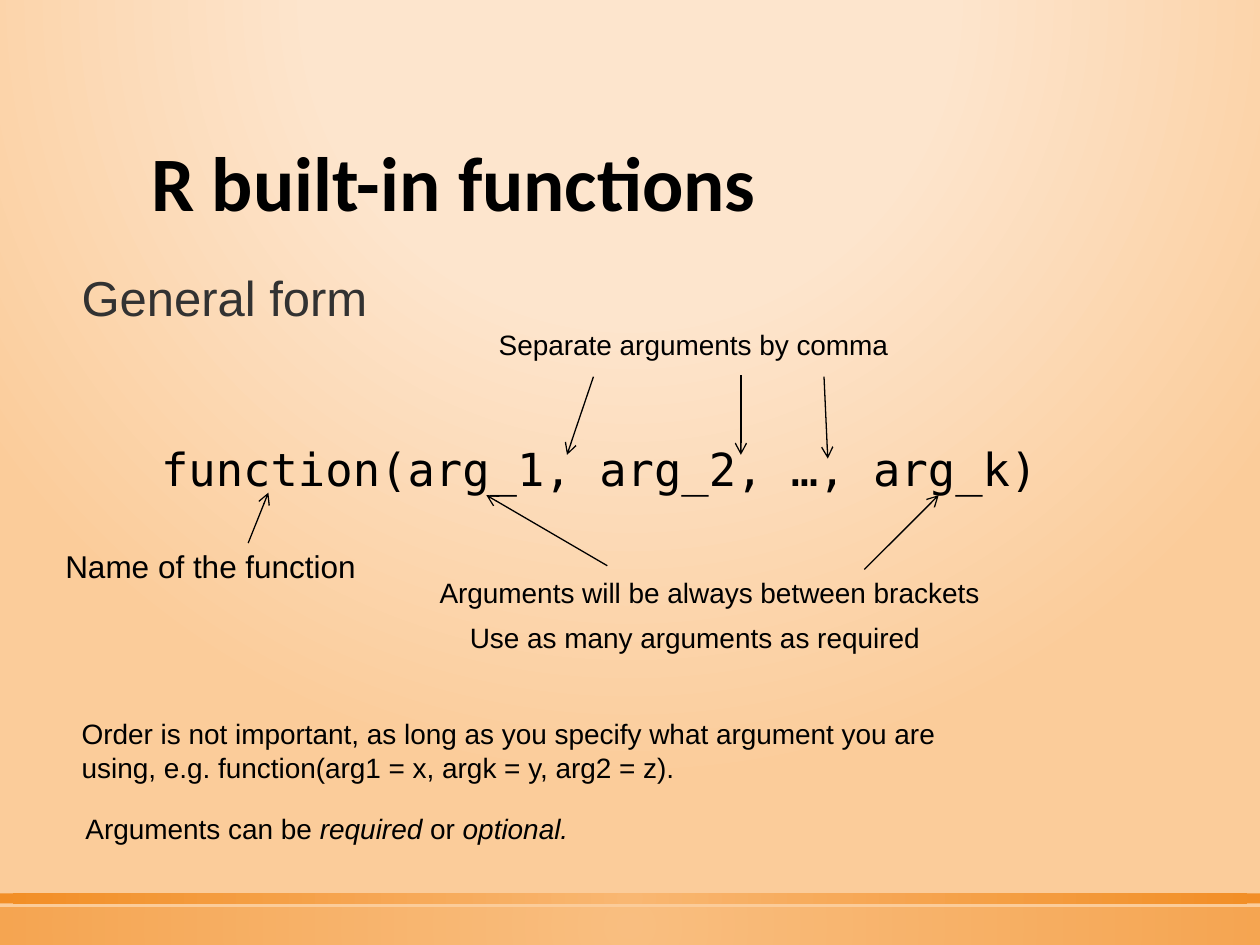
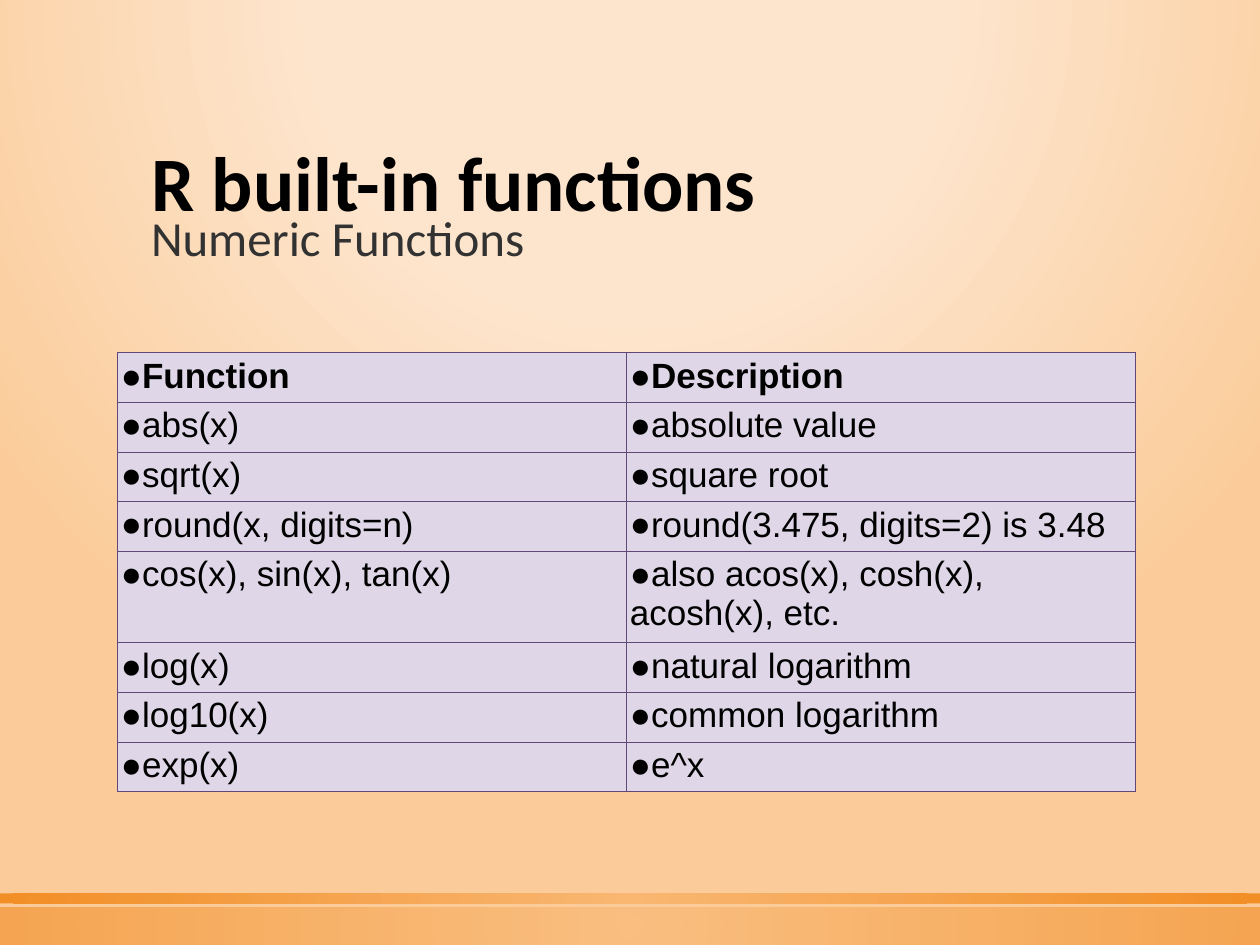
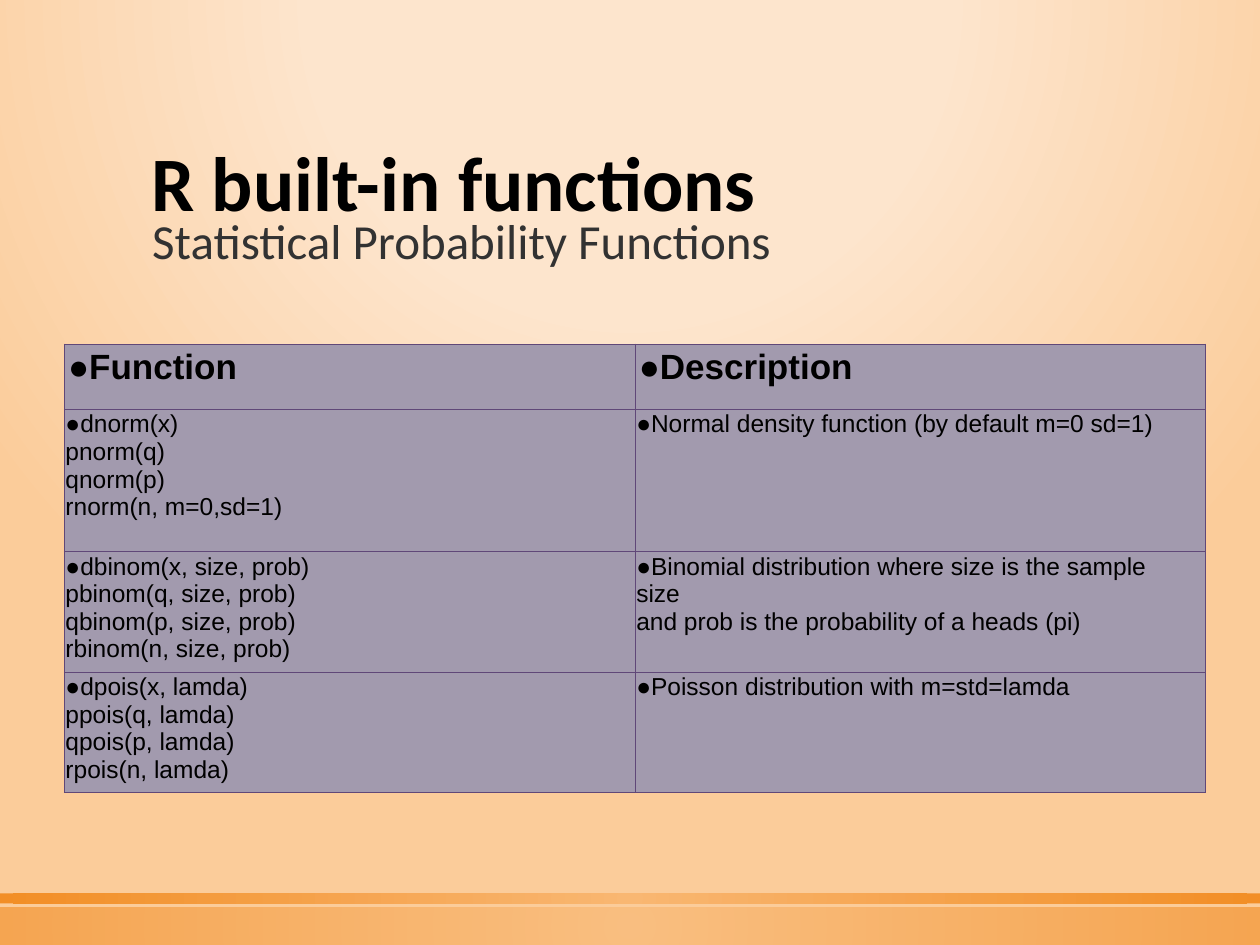
from lxml.etree import SubElement
from pptx import Presentation
from pptx.dml.color import RGBColor
from pptx.enum.shapes import MSO_CONNECTOR, MSO_SHAPE
from pptx.enum.text import MSO_ANCHOR as Anchor, MSO_AUTO_SIZE as AutoSize, PP_ALIGN as Align
from pptx.oxml.ns import qn
from pptx.util import Inches, Pt

BLACK = RGBColor(0x00, 0x00, 0x00)
GREY = RGBColor(0x32, 0x32, 0x32)
CREAM = RGBColor(0xFD, 0xE5, 0xCD)
PEACH = RGBColor(0xFB, 0xCC, 0x9A)
LIGHT_ORANGE = RGBColor(0xF9, 0xB2, 0x68)
ORANGE = RGBColor(0xF0, 0x7F, 0x09)
PURPLE = RGBColor(0x60, 0x48, 0x78)
LILAC = RGBColor(0xDF, 0xD7, 0xE7)
MAUVE = RGBColor(0xA2, 0x9A, 0xAE)

WIDTH, HEIGHT = 10, 7.5
TITLE = "R built-in functions"
BACKDROP = [(0, CREAM, 59), (40, CREAM, 66), (100, PEACH, 100)]
BANDS = [(7.2, 0.3, 50), (7.09, 0.08, 80)]

SUBTITLES = [
    ("General form", "Arial", (0.55, 1.93, 5.38, 0.71)),
    ("Numeric Functions", "Calibri", (1.1, 1.56, 5.38, 0.6)),
    ("Statistical Probability Functions", "Calibri", (1.11, 1.63, 7.12, 0.56)),
]

NOTES = [
    (["function(arg_1, arg_2, …, arg_k)"], "DejaVu Sans Mono", 26, False, (1.18, 3.45, 7.21, 0.54)),
    (["Name of the function"], "Arial", 18, False, (0.42, 4.29, 2.53, 0.4)),
    (["Arguments will be always between brackets"], "Arial", 16, False, (3.39, 4.52, 4.54, 0.37)),
    (["Use as many arguments as required"], "Arial", 16, False, (3.63, 4.88, 3.82, 0.37)),
    (["Separate arguments by comma"], "Arial", 16, True, (3.86, 2.55, 3.46, 0.37)),
    (["Order is not important, as long as you specify what argument you are using, "
      "e.g. function(arg1 = x, argk = y, arg2 = z)."], "Arial", 16, True, (0.55, 5.64, 7.47, 0.64)),
    (["Arguments can be ", "required ", "or", " optional."], "Arial", 16, False, (0.58, 6.39, 4.08, 0.37)),
]

ARROWS = [
    (4.71, 2.99, 4.5, 3.61),
    (5.88, 2.98, 5.88, 3.61),
    (6.54, 2.99, 6.57, 3.64),
    (1.97, 4.31, 2.13, 3.91),
    (4.82, 4.49, 3.86, 3.93),
    (6.86, 4.52, 7.45, 3.93),
]

HEADER = ("Function", "Description")
NUMERIC = [
    HEADER,
    ("abs(x)", "absolute value"),
    ("sqrt(x)", "square root"),
    ("round(x, digits=n)", "round(3.475, digits=2) is 3.48"),
    ("cos(x), sin(x), tan(x)", "also acos(x), cosh(x), acosh(x), etc."),
    ("log(x)", "natural logarithm"),
    ("log10(x)", "common logarithm"),
    ("exp(x)", "e^x"),
]
PROBABILITY = [
    HEADER,
    ("dnorm(x)\npnorm(q)\nqnorm(p)\nrnorm(n, m=0,sd=1)",
     "Normal density function (by default m=0 sd=1)"),
    ("dbinom(x, size, prob)\npbinom(q, size, prob)\nqbinom(p, size, prob)\nrbinom(n, size, prob)",
     "Binomial distribution where size is the sample\nsize\n"
     "and prob is the probability of a heads (pi)"),
    ("dpois(x, lamda)\nppois(q, lamda)\nqpois(p, lamda)\nrpois(n, lamda)",
     "Poisson distribution with m=std=lamda"),
]


def box(at):
    return [Inches(v) for v in at]


def set_gradient(fill, element, stops, focus):
    fill.gradient()
    grad = element.find(".//" + qn("a:gradFill"))
    for child in list(grad):
        grad.remove(child)
    gs_list = SubElement(grad, qn("a:gsLst"))
    for pos, color, alpha in stops:
        gs = SubElement(gs_list, qn("a:gs"), pos=str(pos * 1000))
        clr = SubElement(gs, qn("a:srgbClr"), val=str(color))
        if alpha < 100:
            SubElement(clr, qn("a:alpha"), val=str(alpha * 1000))
    circle = SubElement(grad, qn("a:path"), path="circle")
    SubElement(circle, qn("a:fillToRect"), **{k: str(v * 1000) for k, v in zip("ltrb", focus)})


def add_run(p, text, font, size, color=BLACK, bold=False, italic=False):
    r = p.add_run()
    r.text = text
    r.font.name, r.font.size = font, Pt(size)
    r.font.bold, r.font.italic = bold, italic
    r.font.color.rgb = color


def space_before(p):
    pPr = p._p.get_or_add_pPr()
    SubElement(SubElement(pPr, qn("a:spcBef")), qn("a:spcPct"), val="20000")
    return pPr


def style_master(prs, s):
    master = prs.slide_master
    set_gradient(master.background.fill, master.element, BACKDROP, (50, -80, 50, 180))
    for i, (top, height, alpha) in enumerate(BANDS):
        band = s.shapes.add_shape(MSO_SHAPE.RECTANGLE, *box((0, top, WIDTH, height)))
        band.shadow.inherit = False
        band.line.fill.background()
        stops = [(0, LIGHT_ORANGE, alpha), (100, ORANGE, alpha)]
        set_gradient(band.fill, band.element, stops, (50, 50, 50, 50))
        master.shapes.element.insert(2 + i, band.element)


def add_headings(s, subtitle, font, at):
    title = s.shapes.title
    title.left, title.top, title.width, title.height = box((1.1, 0.51, 7.8, 1.35))
    tf = title.text_frame
    tf.vertical_anchor, tf.auto_size = Anchor.BOTTOM, AutoSize.NONE
    p = tf.paragraphs[0]
    p.alignment, p.line_spacing = Align.LEFT, 0.9
    add_run(p, TITLE, "Calibri", 44, bold=True)
    tf = s.shapes.add_textbox(*box(at)).text_frame
    tf.word_wrap, tf.vertical_anchor = True, Anchor.BOTTOM
    add_run(tf.paragraphs[0], subtitle, font, 28, GREY)


def add_note(s, runs, font, size, wrap, at):
    tf = s.shapes.add_textbox(*box(at)).text_frame
    tf.word_wrap, tf.auto_size = wrap, AutoSize.SHAPE_TO_FIT_TEXT
    p = tf.paragraphs[0]
    space_before(p)
    for i, text in enumerate(runs):
        add_run(p, text, font, size, italic=i % 2 == 1)


def add_arrow(s, ends):
    c = s.shapes.add_connector(MSO_CONNECTOR.STRAIGHT, *box(ends))
    c.line.color.rgb, c.line.width = BLACK, Pt(0.75)
    spPr = c.element.spPr
    SubElement(spPr.get_or_add_ln(), qn("a:tailEnd"), type="arrow")
    SubElement(spPr, qn("a:effectLst"))


def fill_cell(cell, text, size, bold, inset, color):
    cell.margin_left = cell.margin_right = cell.margin_top = cell.margin_bottom = Inches(inset)
    tcPr = cell._tc.get_or_add_tcPr()
    for side in "LRTB":
        ln = SubElement(tcPr, qn("a:ln" + side), w=str(Pt(0.5)))
        SubElement(SubElement(ln, qn("a:solidFill")), qn("a:srgbClr"), val=str(PURPLE))
    cell.fill.solid()
    cell.fill.fore_color.rgb = color
    tf = cell.text_frame
    for i, line in enumerate(text.split("\n")):
        p = tf.add_paragraph() if i else tf.paragraphs[0]
        if i == 0:
            pPr = space_before(p)
            SubElement(pPr, qn("a:buFont"), typeface="Arial")
            SubElement(pPr, qn("a:buChar"), char="●")
        add_run(p, line, "Arial", size, bold=bold)


def add_function_table(s, rows, at, heights, body_size, body_inset, color):
    table = s.shapes.add_table(len(rows), len(HEADER), *box(at)).table
    for i, (row, height) in enumerate(zip(rows, heights)):
        table.rows[i].height = Inches(height)
        size, inset = (body_size, body_inset) if i else (20, 0.03)
        for j, text in enumerate(row):
            fill_cell(table.cell(i, j), text, size, i == 0, inset, color)


def main():
    prs = Presentation()
    prs.slide_width, prs.slide_height = Inches(WIDTH), Inches(HEIGHT)
    slides = [prs.slides.add_slide(prs.slide_layouts[5]) for _ in SUBTITLES]
    general, numeric, probability = slides
    style_master(prs, general)
    for s, subtitle in zip(slides, SUBTITLES):
        add_headings(s, *subtitle)
    for note in NOTES:
        add_note(general, *note)
    for ends in ARROWS:
        add_arrow(general, ends)
    add_function_table(numeric, NUMERIC, (0.93, 2.8, 8.08, 3.17),
                       [0.25] * len(NUMERIC), 20, 0.03, LILAC)
    add_function_table(probability, PROBABILITY, (0.51, 2.73, 9.06, 3.62),
                       [0.52, 1.13, 0.9, 0.9], 14, 0.01, MAUVE)
    prs.save("out.pptx")


if __name__ == "__main__":
    main()
